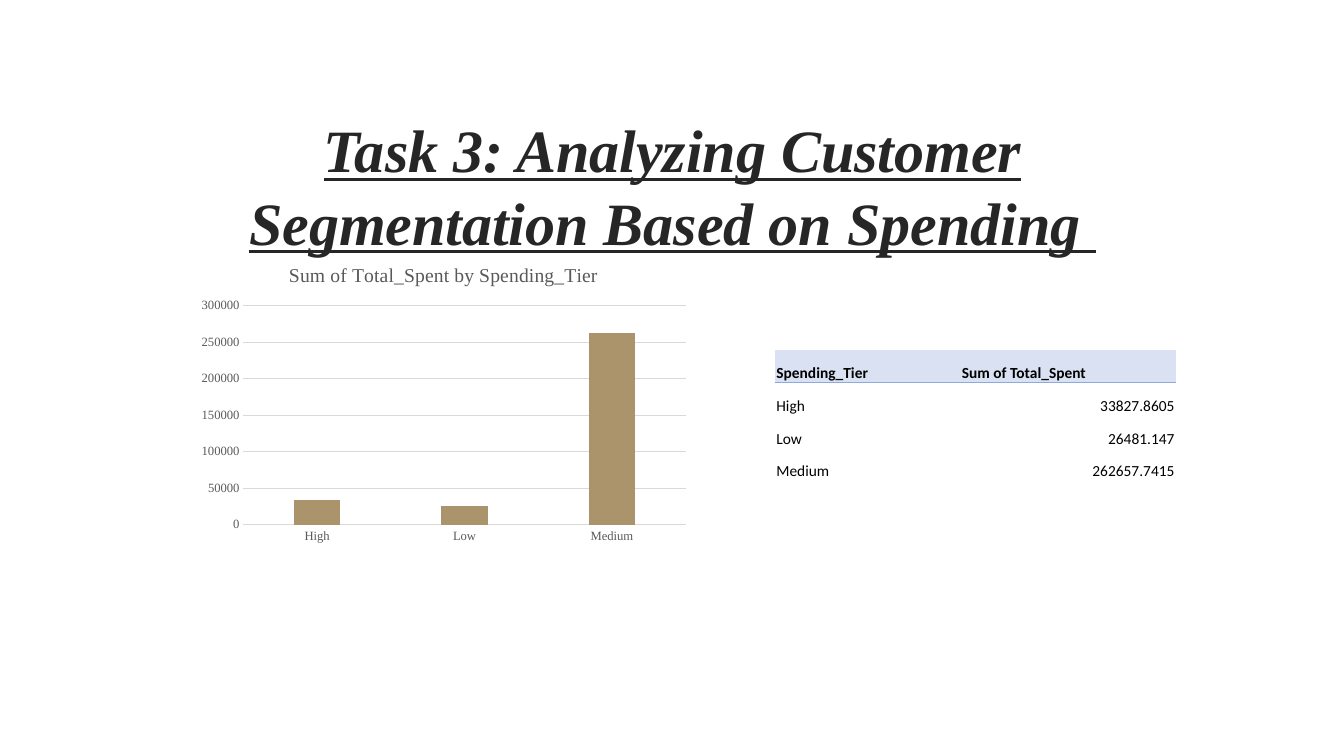
from dataclasses import dataclass

from lxml.etree import SubElement
from pptx import Presentation
from pptx.chart.data import CategoryChartData
from pptx.dml.color import RGBColor
from pptx.enum.chart import XL_CHART_TYPE, XL_TICK_MARK
from pptx.enum.text import MSO_ANCHOR, MSO_AUTO_SIZE, PP_ALIGN
from pptx.oxml.ns import qn
from pptx.util import Inches, Pt


@dataclass(frozen=True)
class Theme:
    serif: str = "Times New Roman"
    sans: str = "Calibri"
    title: str = "262626"
    text: str = "000000"
    muted: str = "595959"
    grid: str = "D9D9D9"
    bar: str = "AB946B"
    header: str = "D9E1F2"
    border: str = "8EA9DB"
    title_size: float = 42.9
    chart_title_size: float = 14
    chart_size: float = 10
    axis_size: float = 9
    table_size: float = 11
    no_table_style: str = "{2D5ABB26-0587-4C30-8999-92F81FD0307C}"


def style_font(font, name, size, color, bold=False):
    font.name, font.size, font.bold = name, Pt(size), bold
    font.color.rgb = RGBColor.from_string(color)


def style_line(line, color):
    line.color.rgb = RGBColor.from_string(color)
    line.width = Pt(0.75)


class SlideBuilder:
    def __init__(self, s, theme):
        self.s, self.theme = s, theme

    def title(self, text, *box):
        t, sp = self.theme, self.s.shapes.title
        sp.left, sp.top, sp.width, sp.height = map(Inches, box)
        tf = sp.text_frame
        tf.text = text
        tf.word_wrap, tf.auto_size = True, MSO_AUTO_SIZE.NONE
        tf.vertical_anchor = MSO_ANCHOR.TOP
        tf.margin_top, tf.margin_bottom = Inches(0.05), 0
        p = tf.paragraphs[0]
        p.alignment, p.line_spacing = PP_ALIGN.CENTER, 1.0
        style_font(p.font, t.serif, t.title_size, t.title, True)
        p.font.italic = p.font.underline = True

    def column_chart(self, title, values, *box):
        t = self.theme
        data = CategoryChartData()
        data.categories = list(values)
        data.add_series("Series 1", list(values.values()))
        chart = self.s.shapes.add_chart(
            XL_CHART_TYPE.COLUMN_CLUSTERED, *map(Inches, box), data).chart
        style_font(chart.font, t.serif, t.chart_size, t.text)
        chart.has_legend = False
        chart.has_title = True
        p = chart.chart_title.text_frame.paragraphs[0]
        p.text = title
        style_font(p.font, t.serif, t.chart_title_size, t.muted)

        # Bars
        plot = chart.plots[0]
        plot.gap_width, plot.overlap, plot.vary_by_categories = 219, -27, False
        fill = plot.series[0].format.fill
        fill.solid()
        fill.fore_color.rgb = RGBColor.from_string(t.bar)

        # Axes
        for axis in (chart.category_axis, chart.value_axis):
            axis.major_tick_mark = axis.minor_tick_mark = XL_TICK_MARK.NONE
            style_font(axis.tick_labels.font, t.serif, t.axis_size, t.muted)
        style_line(chart.category_axis.format.line, t.grid)
        axis = chart.value_axis
        axis.format.line.fill.background()
        axis.minimum_scale, axis.maximum_scale, axis.major_unit = 0, 300000, 50000
        style_line(axis.major_gridlines.format.line, t.grid)

    def table(self, rows, header_row, col_widths, *box):
        t = self.theme
        table = self.s.shapes.add_table(
            len(rows), len(col_widths), *map(Inches, box)).table
        table.first_row = table.horz_banding = False
        table._tbl.tblPr.find(qn("a:tableStyleId")).text = t.no_table_style
        for column, width in zip(table.columns, col_widths):
            column.width = Inches(width)
        for i, row in enumerate(rows):
            for j, text in enumerate(row):
                cell = table.cell(i, j)
                cell.text = text
                cell.vertical_anchor = MSO_ANCHOR.BOTTOM
                cell.margin_left = cell.margin_right = cell.margin_top = Inches(0.01)
                cell.margin_bottom = 0
                p = cell.text_frame.paragraphs[0]
                style_font(p.font, t.sans, t.table_size, t.text, i == header_row)
                if j and i > header_row:
                    p.alignment = PP_ALIGN.RIGHT
                if i == header_row:
                    cell.fill.solid()
                    cell.fill.fore_color.rgb = RGBColor.from_string(t.header)
                    self.bottom_border(cell)
                else:
                    cell.fill.background()

    def bottom_border(self, cell):
        tcPr = cell._tc.get_or_add_tcPr()
        ln = SubElement(tcPr, qn("a:lnB"), w=str(Pt(0.5)))
        SubElement(SubElement(ln, qn("a:solidFill")), qn("a:srgbClr"),
                   val=self.theme.border)
        tcPr.insert(0, ln)


def main():
    prs = Presentation()
    prs.slide_width, prs.slide_height = Inches(13.33), Inches(7.5)
    s = prs.slides.add_slide(prs.slide_layouts[5])
    builder = SlideBuilder(s, Theme())

    # Chart of spending by tier, in round figures
    builder.column_chart("Sum of Total_Spent by Spending_Tier",
                         {"High": 34000, "Low": 26000, "Medium": 263000},
                         1.9, 2.45, 5, 3)

    # Table of exact figures, with open rows above and below
    blank = ("", "")
    rows = [blank, blank,
            ("Spending_Tier", "Sum of Total_Spent"),
            ("High", "33827.8605"),
            ("Low", "26481.147"),
            ("Medium", "262657.7415"),
            blank]
    builder.table(rows, 2, (1.84, 2.13), 7.69, 2.82, 3.97, 2.28)

    # Title
    builder.title("Task 3: Analyzing Customer Segmentation Based on Spending ",
                  1.42, 1.07, 10.5, 1.43)
    prs.save("out.pptx")


if __name__ == "__main__":
    main()
